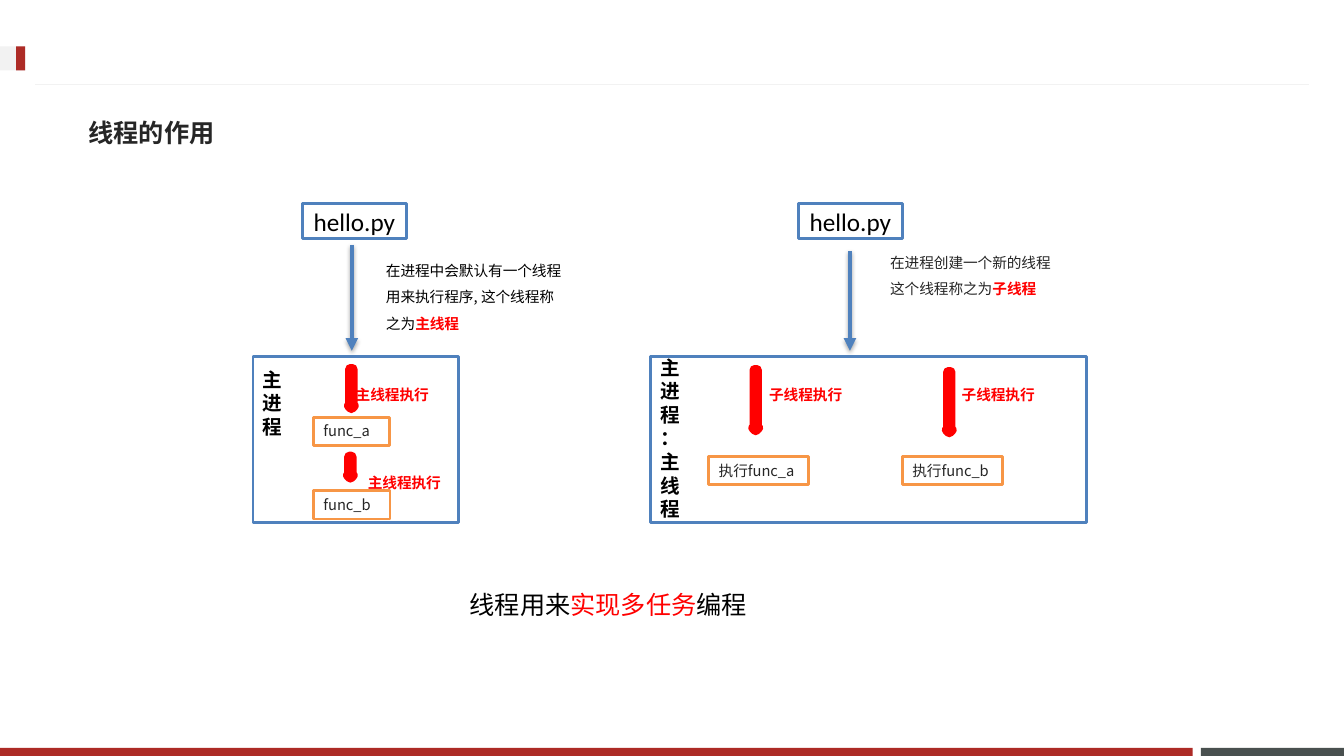
from dataclasses import dataclass

from lxml import etree
from pptx import Presentation
from pptx.dml.color import RGBColor
from pptx.enum.shapes import MSO_CONNECTOR, MSO_SHAPE
from pptx.enum.text import MSO_ANCHOR as Anchor, PP_ALIGN as Align
from pptx.oxml import parse_xml
from pptx.oxml.ns import nsdecls, qn
from pptx.util import Inches, Pt

WHITE = RGBColor(0xFF, 0xFF, 0xFF)
BLACK = RGBColor(0x00, 0x00, 0x00)
DARK = RGBColor(0x26, 0x26, 0x26)
RED = RGBColor(0xFF, 0x00, 0x00)
BLUE = RGBColor(0x4F, 0x81, 0xBD)
ORANGE = RGBColor(0xF7, 0x96, 0x46)
BRICK = RGBColor(0xAD, 0x2B, 0x26)
SLATE = RGBColor(0x49, 0x50, 0x4F)
PALE = RGBColor(0xF2, 0xF2, 0xF2)
CJK = "Noto Sans CJK SC"


@dataclass
class Area:
    left: float
    top: float
    width: float
    height: float

    def lengths(self) -> list:
        return [Inches(v) for v in (self.left, self.top, self.width, self.height)]


@dataclass
class Style:
    size: float = 10.5
    color: RGBColor = DARK
    font: str = CJK
    east_asian: str = CJK
    bold: bool = False
    spacing: float = 1.0
    align: Align = Align.LEFT
    anchor: Anchor = Anchor.TOP


BODY = Style()
NOTE = Style(spacing=1.5)
BLACK_NOTE = Style(color=BLACK, spacing=1.5)
THREAD = Style(color=RED, bold=True)
PROCESS = Style(14, BLACK, "Calibri", bold=True)
FILE = Style(18, BLACK, "Calibri", align=Align.CENTER, anchor=Anchor.MIDDLE)
TITLE = Style(18, font="Noto Sans CJK JP", east_asian="Noto Sans CJK JP",
              bold=True, anchor=Anchor.MIDDLE)
SUMMARY = Style(18, BLACK, "Arial", spacing=1.5)

prs = Presentation()
prs.slide_width, prs.slide_height = Inches(13.33), Inches(7.5)
slide = prs.slides.add_slide(prs.slide_layouts[6])
shapes = slide.shapes


def write(shape, text: str, style: Style, strong_bold: bool = True) -> None:
    """Fill a shape with lines of text; parts between asterisks are red."""
    frame = shape.text_frame
    frame.word_wrap = True
    frame.vertical_anchor = style.anchor
    for number, line in enumerate(text.split("\n")):
        paragraph = frame.paragraphs[0] if number == 0 else frame.add_paragraph()
        paragraph.alignment = style.align
        paragraph.line_spacing = style.spacing
        font = paragraph.font
        font.size, font.bold, font.name = Pt(style.size), style.bold, style.font
        font.color.rgb = style.color
        defaults = paragraph._p.pPr.find(qn("a:defRPr"))
        etree.SubElement(defaults, qn("a:ea")).set("typeface", style.east_asian)
        for index, part in enumerate(line.split("*")):
            if not part:
                continue
            run = paragraph.add_run()
            run.text = part
            if index % 2:
                run.font.color.rgb = RED
                if strong_bold:
                    run.font.bold = True


def add_text(area: Area, text: str, style: Style, strong_bold: bool = True) -> None:
    write(shapes.add_textbox(*area.lengths()), text, style, strong_bold)


def add_box(area: Area, fill: RGBColor, line: RGBColor | None = None,
            width: float = 2, kind: MSO_SHAPE = MSO_SHAPE.RECTANGLE):
    box = shapes.add_shape(kind, *area.lengths())
    box.shadow.inherit = False
    box.fill.solid()
    box.fill.fore_color.rgb = fill
    if line is None:
        box.line.fill.background()
    else:
        box.line.color.rgb = line
        box.line.width = Pt(width)
    return box


def add_line(x1: float, y1: float, x2: float, y2: float,
             color: RGBColor, width: float, arrow: bool = False) -> None:
    line = shapes.add_connector(MSO_CONNECTOR.STRAIGHT,
                                Inches(x1), Inches(y1), Inches(x2), Inches(y2))
    line.line.color.rgb = color
    line.line.width = Pt(width)
    shadow = ""
    if arrow:
        etree.SubElement(line.line._get_or_add_ln(), qn("a:tailEnd")).set("type", "triangle")
        shadow = ('<a:outerShdw blurRad="40000" dist="23000" dir="5400000" rotWithShape="0">'
                  '<a:srgbClr val="000000"><a:alpha val="35000"/></a:srgbClr></a:outerShdw>')
    line._element.spPr.append(
        parse_xml(f"<a:effectLst {nsdecls('a')}>{shadow}</a:effectLst>"))


def add_file(left: float, arrow_x: float, arrow_top: float) -> None:
    write(add_box(Area(left, 2.02, 1.03, 0.35), WHITE, BLUE), "hello.py", FILE)
    add_line(arrow_x, arrow_top, arrow_x, 3.48, BLUE, 3, arrow=True)


@dataclass
class Task:
    function: str
    box: Area
    thread: str
    label_left: float
    label_top: float
    arrow: Area


def add_task(task: Task) -> None:
    add_text(Area(task.label_left, task.label_top, 1.21, 0.28), task.thread, THREAD)
    add_box(task.arrow, RED, RED, 7, MSO_SHAPE.DOWN_ARROW)
    write(add_box(task.box, WHITE, ORANGE), task.function, BODY)


# Page frame
add_box(Area(11.91, 7.42, 1.42, 0.08), SLATE)
add_box(Area(0, 7.42, 11.83, 0.08), BRICK)
add_line(12.98, 0.84, 0.35, 0.84, PALE, 0.75)
add_box(Area(0, 0.46, 0.25, 0.24), PALE)
add_box(Area(0.16, 0.46, 0.09, 0.24), BRICK)
add_text(Area(0.78, 1.03, 11.7, 0.57), "线程的作用", TITLE)

# Files and the processes they start
add_file(3, 3.49, 2.43)
add_file(7.92, 8.43, 2.49)
add_box(Area(2.51, 3.54, 2.04, 1.64), WHITE, BLUE)
add_box(Area(6.45, 3.54, 4.33, 1.64), WHITE, BLUE)
add_text(Area(2.51, 3.6, 0.4, 0.81), "主\n进\n程", PROCESS)
add_text(Area(6.45, 3.48, 0.4, 1.99), "主\n进\n程\n：主线程", PROCESS)

# Functions and the threads that run them
TASKS = [
    Task("func_a", Area(3.11, 4.14, 0.75, 0.28), "主线程执行", 3.43, 3.78,
         Area(3.46, 3.66, 0.05, 0.39)),
    Task("func_b", Area(3.11, 4.87, 0.76, 0.28), "主线程执行", 3.55, 4.65,
         Area(3.45, 4.53, 0.05, 0.21)),
    Task("执行func_a", Area(7.03, 4.53, 0.99, 0.28), "子线程执行", 7.53, 3.78,
         Area(7.47, 3.67, 0.05, 0.6)),
    Task("执行func_b", Area(8.95, 4.53, 0.99, 0.28), "子线程执行", 9.44, 3.78,
         Area(9.39, 3.69, 0.05, 0.6)),
]
for task in TASKS:
    add_task(task)

# Explanations
add_text(Area(3.73, 2.46, 1.98, 0.86),
         "在进程中会默认有一个线程用来执行程序, 这个线程称之为*主线程*", BLACK_NOTE)
add_text(Area(8.73, 2.38, 2.28, 0.6),
         "在进程创建一个新的线程\n这个线程称之为*子线程*", NOTE)
add_text(Area(4.56, 5.65, 3.67, 0.51), "线程用来*实现多任务*编程", SUMMARY, strong_bold=False)

prs.save("out.pptx")
